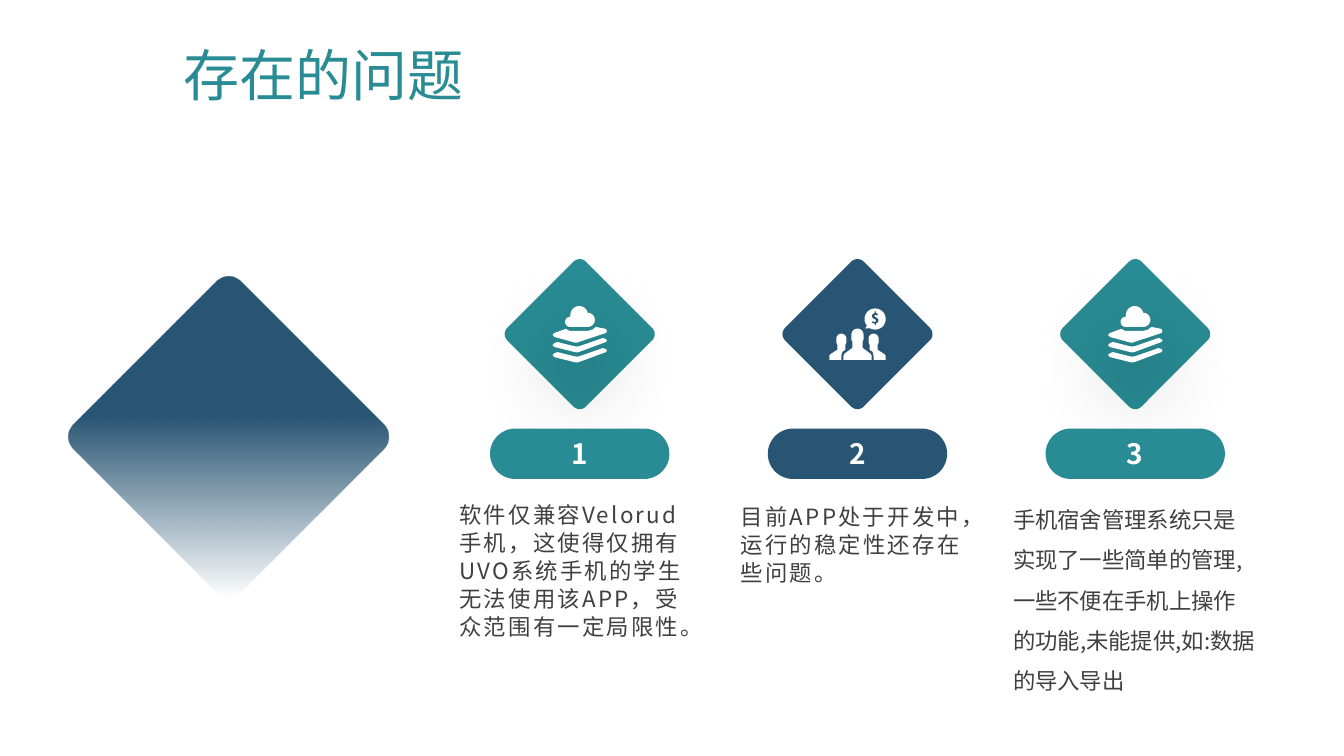
from dataclasses import dataclass
from math import cos, radians, sin

from lxml.etree import SubElement
from pptx import Presentation
from pptx.dml.color import RGBColor
from pptx.enum.shapes import MSO_SHAPE
from pptx.enum.text import MSO_ANCHOR, MSO_AUTO_SIZE, PP_ALIGN
from pptx.oxml import parse_xml
from pptx.oxml.ns import nsdecls, qn
from pptx.util import Cm, Pt


@dataclass(frozen=True)
class Theme:
    teal: RGBColor = RGBColor(0x29, 0x8B, 0x93)
    navy: RGBColor = RGBColor(0x28, 0x55, 0x73)
    white: RGBColor = RGBColor(0xFF, 0xFF, 0xFF)
    body: RGBColor = RGBColor(0x40, 0x40, 0x40)
    title_size: Pt = Pt(40)
    number_size: Pt = Pt(20)
    body_size: Pt = Pt(16)
    heading_font: str = "Noto Sans CJK JP"
    body_font: str = "Noto Sans CJK SC"


def arc(x, y, radius, start, end, step=10):
    """Points along an arc; angles run clockwise in degrees."""
    return [(x + radius * cos(radians(angle)), y + radius * sin(radians(angle)))
            for angle in range(start, end + 1, step)]


# Icon outlines are in hundredths of an inch, from the icon's top left corner.
ICON_UNIT = 0.0254

LOWER_LAYER = [(50, 42), (53, 43), (54, 44.5), (53, 46), (26, 56), (24, 56.3), (22, 56),
               (2, 51), (0, 49), (2, 47), (5, 46), (21, 50), (24, 50.5), (27, 50)]
MIDDLE_LAYER = [(x, y - 10) for x, y in LOWER_LAYER]
TOP_LAYER = [(43, 21), (53, 23), (54, 25), (53, 27), (26, 36), (24, 36.7), (22, 36.5),
             (2, 31), (0, 29), (2, 27), (13, 23), (17, 25), (35, 25), (40, 23.5)]
CLOUD = arc(17.5, 16, 5, 90, 270) + arc(26.5, 9, 8.7, 180, 350) + arc(35, 14, 7, 270, 450)
CLOUD_ICON = [LOWER_LAYER, MIDDLE_LAYER, TOP_LAYER, CLOUD]

LEFT_PERSON = arc(12, 30, 5, 180, 360) + [
    (17, 34), (16, 36), (16, 41), (13, 43), (12, 47), (12, 51),
    (0, 51), (0, 47), (1, 45.5), (8, 41), (8, 36), (7, 34)]
MIDDLE_PERSON = arc(28, 26, 6, 180, 360) + [
    (34, 31), (33, 33), (33, 39), (41, 45), (42, 47), (42, 51),
    (14, 51), (14, 47), (15, 45), (23, 39), (23, 33), (22, 31)]
RIGHT_PERSON = [(56 - x, y) for x, y in LEFT_PERSON]
BUBBLE = arc(45.5, 10.5, 10.5, 140, 480) + [(35.5, 19.8)]
DOLLAR = [(45, 3), (45, 4.5), (43, 5.5), (42, 8), (43.5, 10), (46, 11.2), (46.3, 12.8),
          (45, 13.3), (42.5, 12.7), (42, 14.2), (45, 15), (45, 16.3), (46.5, 16.3),
          (46.5, 15), (48.5, 13.7), (49, 11), (47.3, 9.2), (45, 8), (45, 7),
          (46, 6.6), (48, 7), (48.5, 5.4), (46.5, 4.6), (46.5, 3)]
PEOPLE_ICON = [LEFT_PERSON, MIDDLE_PERSON, RIGHT_PERSON, BUBBLE, DOLLAR]


class SlideBuilder:
    """Holds the theme and current slide; all lengths are centimetres."""

    def __init__(self, slide, theme):
        self.slide = slide
        self.theme = theme

    def format_paragraph(self, paragraph, size, color, name, bold=False):
        font = paragraph.font
        font.size, font.bold, font.name = size, bold, name
        font.color.rgb = color
        properties = paragraph._p.pPr.find(qn("a:defRPr"))
        SubElement(properties, qn("a:ea")).set("typeface", name)
        return properties

    def title(self, text, left, top, width, height):
        shape = self.slide.shapes.title
        shape.left, shape.top, shape.width, shape.height = map(Cm, (left, top, width, height))
        frame = shape.text_frame
        frame.text = text
        frame.word_wrap = False
        frame.auto_size = MSO_AUTO_SIZE.SHAPE_TO_FIT_TEXT
        frame.vertical_anchor = MSO_ANCHOR.TOP
        paragraph = frame.paragraphs[0]
        paragraph.alignment = PP_ALIGN.CENTER
        self.format_paragraph(paragraph, self.theme.title_size, self.theme.teal,
                              self.theme.heading_font)

    def outline(self, left, top, unit, contours, color):
        """Fill closed contours whose coordinates are multiples of unit."""
        scaled = [[(x * unit * 1000, y * unit * 1000) for x, y in points]
                  for points in contours]
        builder = self.slide.shapes.build_freeform(*scaled[0][0], scale=Cm(0.001))
        for points in scaled:
            builder.move_to(*points[0])
            builder.add_line_segments(points[1:], close=True)
        shape = builder.convert_to_shape(Cm(left), Cm(top))
        shape.shadow.inherit = False
        shape.fill.solid()
        shape.fill.fore_color.rgb = color
        shape.line.fill.background()
        return shape

    def diamond(self, center_x, center_y, reach, radius, color):
        """Reach is the distance from the middle to each corner's arc centre."""
        points = []
        for angle in range(0, 360, 90):
            x, y = reach * cos(radians(angle)), reach * sin(radians(angle))
            points += arc(x, y, radius, angle - 45, angle + 45, 5)
        return self.outline(center_x, center_y, 1, [points], color)

    def fading_diamond(self, center_x, center_y, reach, radius, color):
        shape = self.diamond(center_x, center_y, reach, radius, color)
        shape.fill.gradient()
        shape.fill.gradient_angle = 270
        for stop, position in zip(shape.fill.gradient_stops, (0.43, 1)):
            stop.position = position
            stop.color.rgb = color
        last_color = shape.element.xpath(".//a:gs/a:srgbClr")[-1]
        SubElement(last_color, qn("a:alpha")).set("val", "0")

    def icon(self, center_x, center_y, contours, shadow):
        points = [point for contour in contours for point in contour]
        width, height = (max(values) * ICON_UNIT for values in zip(*points))
        shape = self.outline(center_x - width / 2, center_y - height / 2, ICON_UNIT,
                             contours, self.theme.white)
        if shadow:
            shape.element.spPr.find(qn("a:effectLst")).append(parse_xml(
                f'<a:outerShdw {nsdecls("a")} blurRad="{Pt(60)}" dist="{Pt(20)}" '
                'dir="5400000" algn="ctr" rotWithShape="0"><a:srgbClr val="000000">'
                '<a:alpha val="40000"/></a:srgbClr></a:outerShdw>'))

    def pill(self, text, left, top, width, height, color):
        shape = self.slide.shapes.add_shape(
            MSO_SHAPE.ROUNDED_RECTANGLE, Cm(left), Cm(top), Cm(width), Cm(height))
        shape.adjustments[0] = 0.5
        shape.shadow.inherit = False
        shape.fill.solid()
        shape.fill.fore_color.rgb = color
        shape.line.fill.background()
        frame = shape.text_frame
        frame.text = text
        frame.vertical_anchor = MSO_ANCHOR.MIDDLE
        paragraph = frame.paragraphs[0]
        paragraph.alignment = PP_ALIGN.CENTER
        self.format_paragraph(paragraph, self.theme.number_size, self.theme.white,
                              self.theme.heading_font, bold=True)

    def text(self, text, box, line_spacing, letter_spacing):
        frame = self.slide.shapes.add_textbox(*map(Cm, box)).text_frame
        frame.margin_left = frame.margin_top = frame.margin_right = frame.margin_bottom = 0
        frame.word_wrap = True
        frame.auto_size = MSO_AUTO_SIZE.SHAPE_TO_FIT_TEXT
        frame.text = text
        for paragraph in frame.paragraphs:
            paragraph.line_spacing = line_spacing
            properties = self.format_paragraph(paragraph, self.theme.body_size,
                                               self.theme.body, self.theme.body_font)
            properties.set("spc", str(letter_spacing))


def main():
    presentation = Presentation()
    presentation.slide_width, presentation.slide_height = Cm(33.87), Cm(19.05)
    theme = Theme()
    builder = SlideBuilder(presentation.slides.add_slide(presentation.slide_layouts[5]), theme)

    builder.title("存在的问题", 4.37, 0.89, 7.57, 1.96)
    builder.fading_diamond(5.75, 11.01, 3.58, 0.45, theme.navy)

    problems = [
        (theme.teal, CLOUD_ICON, (11.58, 12.6, 6.07, 3.56), Pt(20), 160,
         "软件仅兼容Velorud手机，这使得仅拥有UVO系统手机的学生无法使用该APP，受众范围有一定局限性。"),
        (theme.navy, PEOPLE_ICON, (18.67, 12.65, 5.84, 2.13), Pt(20), 160,
         "目前APP处于开发中，运行的稳定性还存在\n些问题。"),
        (theme.teal, CLOUD_ICON, (25.53, 12.42, 6.15, 5.13), 1.5, 0,
         "手机宿舍管理系统只是实现了一些简单的管理,一些不便在手机上操作的功能,未能提供,如:数据的导入导出"),
    ]
    for index, (color, icon, box, line_spacing, letter_spacing, text) in enumerate(problems):
        center = 14.61 + 7 * index
        builder.diamond(center, 8.42, 1.67, 0.22, color)
        builder.icon(center, 8.42, icon, shadow=icon is CLOUD_ICON)
        builder.text(text, box, line_spacing, letter_spacing)
        builder.pill(str(index + 1), center - 2.26, 10.8, 4.52, 1.27, color)

    presentation.save("out.pptx")


if __name__ == "__main__":
    main()
